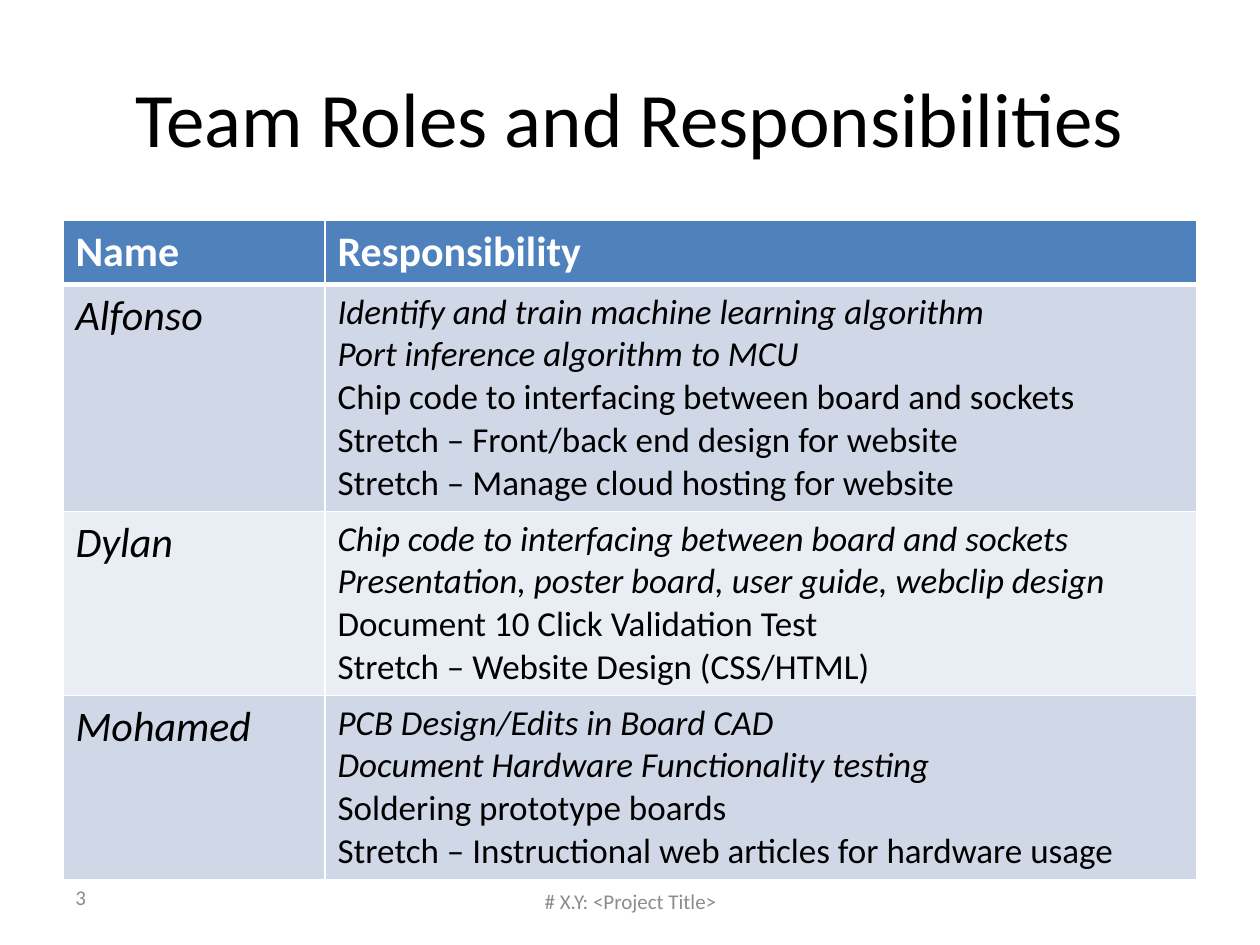
"""Build the team roles and responsibilities slide."""
import pptx
import pptx.dml.color
import pptx.enum.text
import pptx.oxml
import pptx.oxml.ns
import pptx.util


def color(value):
    return pptx.dml.color.RGBColor.from_string(value)


def add_run(paragraph, text, size, value, bold=False, italic=False):
    run = paragraph.add_run()
    run.text = text
    run.font.name = "Calibri"
    run.font.size = pptx.util.Pt(size)
    run.font.color.rgb = color(value)
    run.font.bold = bold
    run.font.italic = italic


presentation = pptx.Presentation()
presentation.slide_width = pptx.util.Inches(10)
presentation.slide_height = pptx.util.Inches(7.5)
width, height = presentation.slide_width, presentation.slide_height
margin = int(width * 0.05)
content_width = width - 2 * margin
slide = presentation.slides.add_slide(presentation.slide_layouts[5])

title = slide.shapes.title
title.left, title.top = margin, int(height * 0.04)
title.width, title.height = content_width, pptx.util.Inches(1.25)
title.text_frame.vertical_anchor = pptx.enum.text.MSO_ANCHOR.MIDDLE
paragraph = title.text_frame.paragraphs[0]
paragraph.alignment = pptx.enum.text.PP_ALIGN.CENTER
add_run(paragraph, "Team Roles and Responsibilities", 44, "000000")

members = [
    ("Alfonso",
     ["Identify and train machine learning algorithm",
      "Port inference algorithm to MCU"],
     ["Chip code to interfacing between board and sockets",
      "Stretch – Front/back end design for website",
      "Stretch – Manage cloud hosting for website"]),
    ("Dylan",
     ["Chip code to interfacing between board and sockets\n"
      "Presentation, poster board, user guide, webclip design"],
     ["Document 10 Click Validation Test",
      "Stretch – Website Design (CSS/HTML)"]),
    ("Mohamed",
     ["PCB Design/Edits in Board CAD",
      "Document Hardware Functionality testing"],
     ["Soldering prototype boards",
      "Stretch – Instructional web articles for hardware usage"]),
]
row_heights = [0.5, 1.8, 1.46, 1.46]
table = slide.shapes.add_table(
    len(row_heights), 2, margin, pptx.util.Inches(1.75),
    content_width, pptx.util.Inches(sum(row_heights))).table
table.columns[0].width = pptx.util.Inches(2.08)
table.columns[1].width = content_width - table.columns[0].width
for row, row_height in zip(table.rows, row_heights):
    row.height = pptx.util.Inches(row_height)

for column, heading in enumerate(["Name", "Responsibility"]):
    add_run(table.cell(0, column).text_frame.paragraphs[0], heading, 24, "FFFFFF", bold=True)

for row_index, (name, main_tasks, other_tasks) in enumerate(members, start=1):
    add_run(table.cell(row_index, 0).text_frame.paragraphs[0], name, 24, "000000", italic=True)
    text_frame = table.cell(row_index, 1).text_frame
    for index, task in enumerate(main_tasks + other_tasks):
        paragraph = text_frame.add_paragraph() if index else text_frame.paragraphs[0]
        for line_index, line in enumerate(task.split("\n")):
            if line_index:
                paragraph.add_line_break()
            add_run(paragraph, line, 20, "000000", italic=index < len(main_tasks))

row_fills = ["4F81BD", "D0D8E8", "E9EDF4", "D0D8E8"]
for row_index, (row, row_fill) in enumerate(zip(table.rows, row_fills)):
    border_widths = {"L": 1, "R": 1, "T": 3 if row_index == 1 else 1,
                     "B": 3 if row_index == 0 else 1}
    for cell in row.cells:
        properties = cell._tc.get_or_add_tcPr()
        for side, points in border_widths.items():
            properties.append(pptx.oxml.parse_xml(
                f'<a:ln{side} {pptx.oxml.ns.nsdecls("a")} w="{pptx.util.Pt(points)}">'
                f'<a:solidFill><a:srgbClr val="FFFFFF"/></a:solidFill></a:ln{side}>'))
        cell.fill.solid()
        cell.fill.fore_color.rgb = color(row_fill)

footers = [
    ("# X.Y: <Project Title>", 3.42, 6.95, 3.17, pptx.enum.text.PP_ALIGN.CENTER),
    ("3", 0.5, 6.92, 2.33, pptx.enum.text.PP_ALIGN.LEFT),
]
for text, left, top, box_width, alignment in footers:
    text_frame = slide.shapes.add_textbox(
        pptx.util.Inches(left), pptx.util.Inches(top),
        pptx.util.Inches(box_width), pptx.util.Inches(0.4)).text_frame
    text_frame.word_wrap = True
    text_frame.vertical_anchor = pptx.enum.text.MSO_ANCHOR.MIDDLE
    text_frame.paragraphs[0].alignment = alignment
    add_run(text_frame.paragraphs[0], text, 12, "8C8C8C")

presentation.save("out.pptx")
